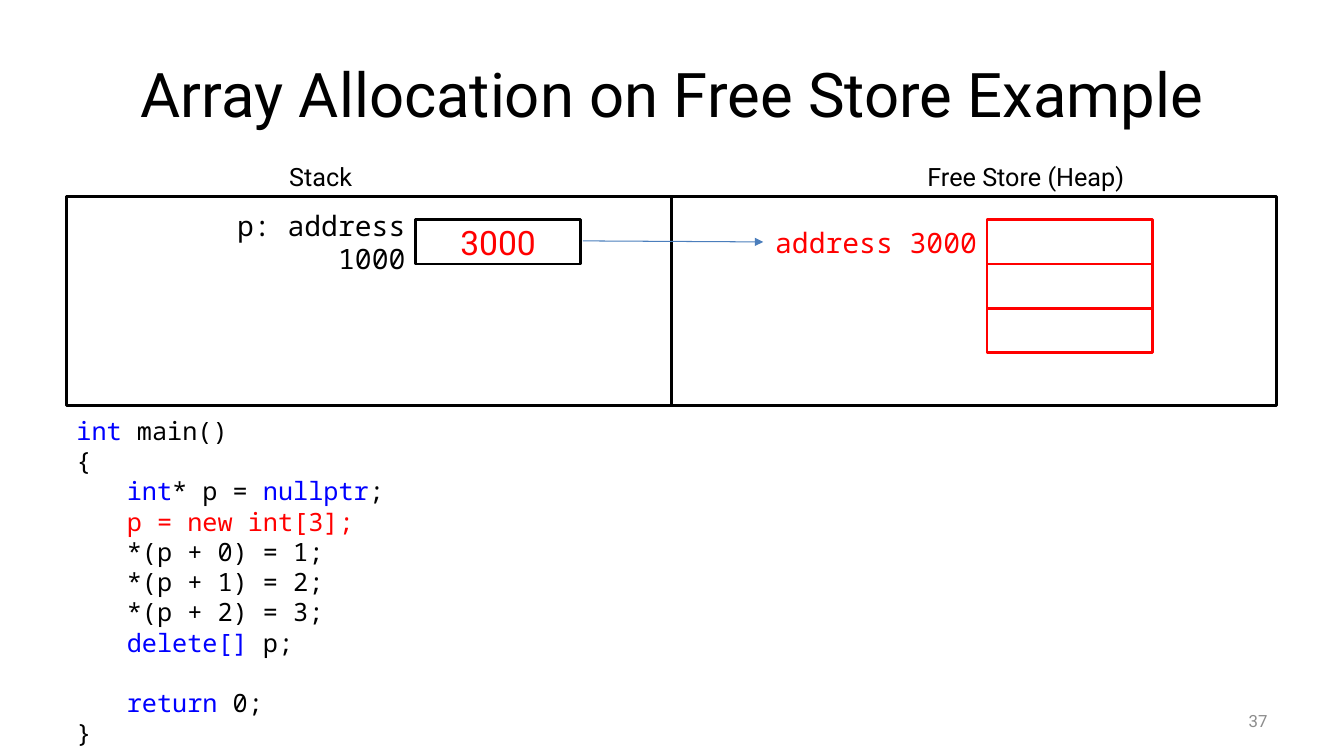
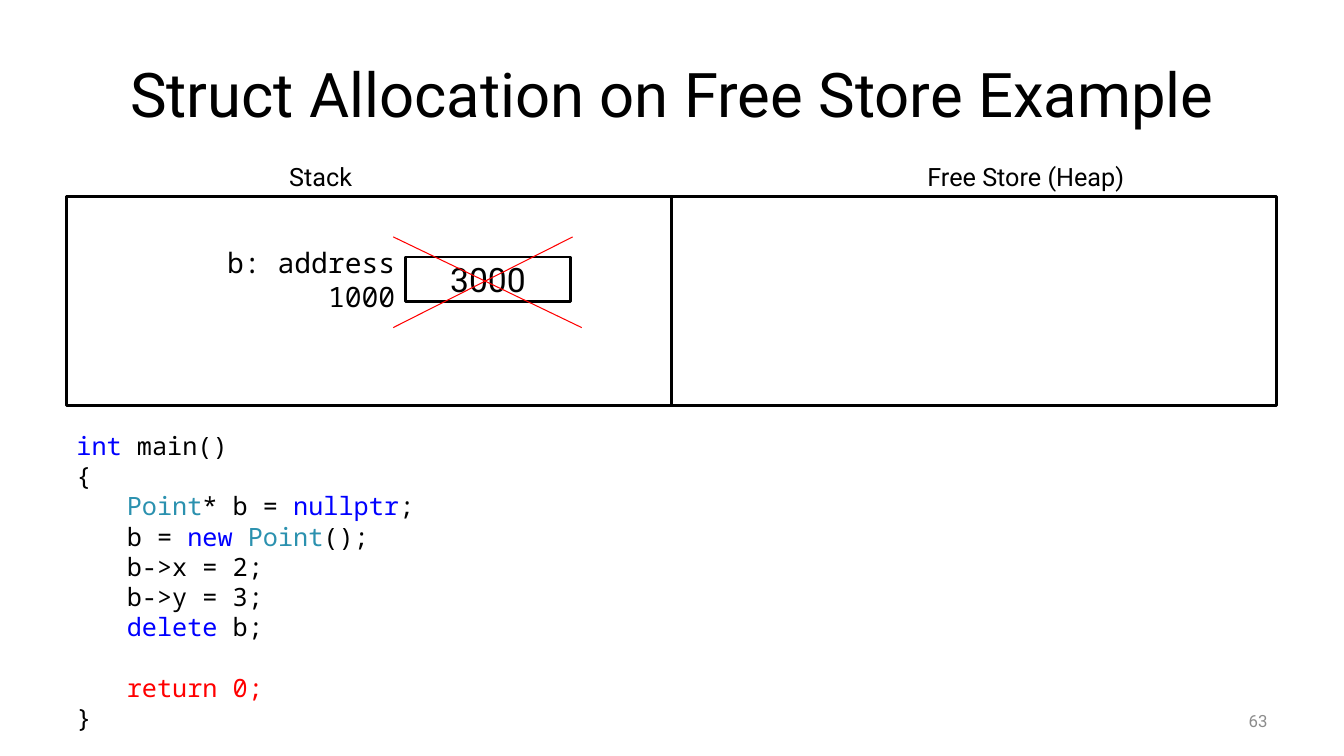
import pptx
import pptx.dml.color
import pptx.enum.shapes
import pptx.enum.text
import pptx.oxml
import pptx.oxml.ns
import pptx.util
from pptx.util import Inches

SANS, MONO = "Roboto", "Noto Sans Mono"
BLACK, WHITE, GRAY = "000000", "FFFFFF", "8C8C8C"
RED, BLUE, TEAL, ARROW = "FF0000", "0000FF", "2B91AF", "4B7EBC"
ALIGN = pptx.enum.text.PP_ALIGN
ANCHOR = pptx.enum.text.MSO_ANCHOR

LEFT, PANEL_TOP, PANEL_W, PANEL_H = 0.66, 1.95, 6, 2.07
CELL_W, CELL_H = 1.64, 0.44
CODE_INDENT, CODE_LINE = 0.5, 0.3
HEADINGS = [("Stack", 2.77, 1.21), ("Free Store (Heap)", 9.1, 2.3)]

# Code lines: (indent level, blank lines before, runs)
SLIDES = [
    {
        "title": "Array Allocation on Free Store Example",
        "number": "37",
        "cells": [(4.12, 2.18, "3000", BLACK, RED)]
        + [(9.79, 2.18 + i * CELL_H, "", RED, RED) for i in range(3)],
        "labels": [
            ("p: address 1000", 1.54, 2.18, 2.58, BLACK),
            ("address 3000", 7.57, 2.18, 2.22, RED),
        ],
        "lines": [(5.78, 2.39, 7.57, 2.4, ARROW, True)],
        "code_top": 4.07,
        "code": [
            (0, 0, [("int ", BLUE), ("main()", BLACK)]),
            (0, 0, [("{", BLACK)]),
            (1, 0, [("int", BLUE), ("* p = ", BLACK), ("nullptr", BLUE), (";", BLACK)]),
            (1, 0, [("p = new int[3];", RED)]),
            (1, 0, [("*(p + 0) = 1;", BLACK)]),
            (1, 0, [("*(p + 1) = 2;", BLACK)]),
            (1, 0, [("*(p + 2) = 3;", BLACK)]),
            (1, 0, [("delete[]", BLUE), (" p;", BLACK)]),
            (1, 1, [("return", BLUE), (" 0;", BLACK)]),
            (0, 0, [("}", BLACK)]),
        ],
    },
    {
        "title": "Struct Allocation on Free Store Example",
        "number": "63",
        "cells": [(4.02, 2.55, "3000", BLACK, BLACK)],
        "labels": [("b: address 1000", 1.44, 2.55, 2.58, BLACK)],
        "lines": [
            (3.9, 2.35, 5.77, 3.25, RED, False),
            (3.9, 3.25, 5.68, 2.35, RED, False),
        ],
        "code_top": 4.22,
        "code": [
            (0, 0, [("int ", BLUE), ("main()", BLACK)]),
            (0, 0, [("{", BLACK)]),
            (1, 0, [("Point", TEAL), ("* b = ", BLACK), ("nullptr", BLUE), (";", BLACK)]),
            (1, 0, [("b = ", BLACK), ("new ", BLUE), ("Point", TEAL), ("();", BLACK)]),
            (1, 0, [("b->x = 2;", BLACK)]),
            (1, 0, [("b->y = 3;", BLACK)]),
            (1, 0, [("delete", BLUE), (" b;", BLACK)]),
            (1, 1, [("return 0;", RED)]),
            (0, 0, [("}", BLACK)]),
        ],
    },
]


def rgb(color):
    return pptx.dml.color.RGBColor.from_string(color)


def add_run(p, text, size, color, font=SANS):
    r = p.add_run()
    r.text = text
    r.font.size = pptx.util.Pt(size)
    r.font.name = font
    r.font.color.rgb = rgb(color)


def set_text(sp, text, size, color, font=SANS, align=ALIGN.LEFT, anchor=ANCHOR.TOP):
    tf = sp.text_frame
    tf.word_wrap = True
    tf.auto_size = pptx.enum.text.MSO_AUTO_SIZE.NONE
    tf.vertical_anchor = anchor
    p = tf.paragraphs[0]
    p.alignment = align
    add_run(p, text, size, color, font)


def add_textbox(s, x, y, w, h):
    return s.shapes.add_textbox(Inches(x), Inches(y), Inches(w), Inches(h))


def add_box(s, x, y, w, h, color):
    sp = s.shapes.add_shape(
        pptx.enum.shapes.MSO_SHAPE.RECTANGLE, Inches(x), Inches(y), Inches(w), Inches(h)
    )
    sp.shadow.inherit = False
    sp.fill.solid()
    sp.fill.fore_color.rgb = rgb(WHITE)
    sp.line.color.rgb = rgb(color)
    sp.line.width = pptx.util.Pt(2)
    return sp


def add_line(s, x1, y1, x2, y2, color, arrow):
    sp = s.shapes.add_connector(
        pptx.enum.shapes.MSO_CONNECTOR.STRAIGHT,
        Inches(x1), Inches(y1), Inches(x2), Inches(y2),
    )
    sp.line.color.rgb = rgb(color)
    sp.line.width = pptx.util.Pt(0.75)
    ns = pptx.oxml.ns.nsdecls("a")
    if arrow:
        tail = pptx.oxml.parse_xml(f'<a:tailEnd {ns} type="triangle"/>')
        sp.line._get_or_add_ln().append(tail)
    sp._element.spPr.append(pptx.oxml.parse_xml(f"<a:effectLst {ns}/>"))


def add_code(s, top, code):
    rows = sum(1 + blanks for _, blanks, _ in code)
    tf = add_textbox(s, LEFT, top, 2 * PANEL_W, rows * CODE_LINE + 0.1).text_frame
    tf.word_wrap = True
    for i, (level, blanks, runs) in enumerate(code):
        p = tf.add_paragraph() if i else tf.paragraphs[0]
        if level:
            pPr = p._p.get_or_add_pPr()
            pPr.set("marL", str(Inches(level * CODE_INDENT)))
            pPr.set("indent", "0")
        if blanks:
            p.space_before = Inches(blanks * CODE_LINE)
        for text, color in runs:
            add_run(p, text, 18, color, MONO)


def add_slide(prs, data):
    s = prs.slides.add_slide(prs.slide_layouts[5])
    title = s.shapes.title
    title.left, title.top = Inches(0.67), Inches(0.3)
    title.width, title.height = Inches(12), Inches(1.25)
    set_text(title, data["title"], 44, BLACK, align=ALIGN.CENTER, anchor=ANCHOR.MIDDLE)
    number = add_textbox(s, 9.56, 6.95, 3.11, 0.4)
    set_text(number, data["number"], 12, GRAY, align=ALIGN.RIGHT, anchor=ANCHOR.MIDDLE)

    for i, (heading, x, w) in enumerate(HEADINGS):
        add_box(s, LEFT + i * PANEL_W, PANEL_TOP, PANEL_W, PANEL_H, BLACK)
        set_text(add_textbox(s, x, 1.55, w, 0.4), heading, 18, BLACK)
    for x, y, value, border, color in data["cells"]:
        cell = add_box(s, x, y, CELL_W, CELL_H, border)
        if value:
            set_text(cell, value, 24, color, align=ALIGN.CENTER, anchor=ANCHOR.MIDDLE)
    for text, x, y, w, color in data["labels"]:
        label = add_textbox(s, x, y, w, CELL_H)
        set_text(label, text, 20, color, MONO, ALIGN.RIGHT, ANCHOR.MIDDLE)
    for line in data["lines"]:
        add_line(s, *line)
    add_code(s, data["code_top"], data["code"])


def main():
    prs = pptx.Presentation()
    prs.slide_width, prs.slide_height = Inches(13.33), Inches(7.5)
    for data in SLIDES:
        add_slide(prs, data)
    prs.save("out.pptx")


if __name__ == "__main__":
    main()
